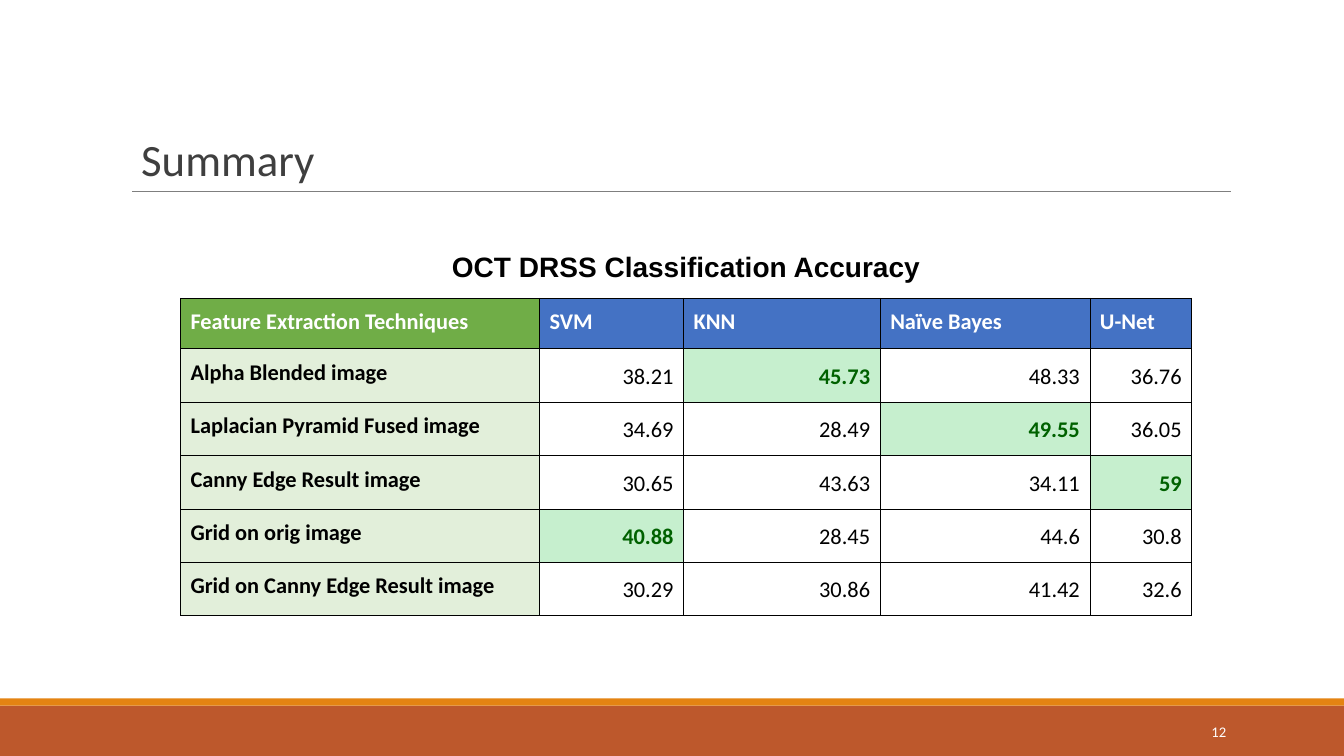
import pptx
import pptx.util
import pptx.dml.color
import pptx.enum.shapes
import pptx.enum.text
import pptx.oxml
import pptx.oxml.ns
import lxml.etree

Inches = pptx.util.Inches
Pt = pptx.util.Pt
RGBColor = pptx.dml.color.RGBColor
Align = pptx.enum.text.PP_ALIGN
Anchor = pptx.enum.text.MSO_ANCHOR

WHITE = RGBColor(0xFF, 0xFF, 0xFF)
BLACK = RGBColor(0, 0, 0)
GRAY = RGBColor(0x7F, 0x7F, 0x7F)
DARK = RGBColor(0x3F, 0x3F, 0x3F)
RUST = RGBColor(0xBD, 0x58, 0x2C)
ORANGE = RGBColor(0xE4, 0x83, 0x12)
GREEN = RGBColor(0x70, 0xAD, 0x47)
BLUE = RGBColor(0x44, 0x72, 0xC4)
PALE = RGBColor(0xE2, 0xEF, 0xDA)
MINT = RGBColor(0xC6, 0xEF, 0xCE)
FOREST = RGBColor(0, 0x61, 0)


def write(para, text, size, color, bold=False, font="Calibri"):
    run = para.add_run()
    run.text = text
    run.font.size = Pt(size)
    run.font.name = font
    run.font.bold = bold
    run.font.color.rgb = color


def border(cell, sides):
    props = cell._tc.get_or_add_tcPr()
    for spot, side in enumerate(("L", "R", "T", "B")):
        paint = "<a:noFill/>"
        if side in sides:
            paint = f'<a:solidFill><a:srgbClr val="{BLACK}"/></a:solidFill>'
        edge = pptx.oxml.parse_xml(
            f'<a:ln{side} {pptx.oxml.ns.nsdecls("a")} w="{Pt(0.6)}">{paint}</a:ln{side}>')
        props.insert(spot, edge)


deck = pptx.Presentation()
deck.slide_width = Inches(13.33)
deck.slide_height = Inches(7.5)
slide = deck.slides.add_slide(deck.slide_layouts[5])
shapes = slide.shapes

for top, height, color in ((7, 0.5, RUST), (6.93, 0.07, ORANGE)):
    band = shapes.add_shape(pptx.enum.shapes.MSO_SHAPE.RECTANGLE,
                            Inches(0), Inches(top), Inches(13.33), Inches(height))
    band.shadow.inherit = False
    band.fill.solid()
    band.fill.fore_color.rgb = color
    band.line.fill.background()

rule = shapes.add_connector(pptx.enum.shapes.MSO_CONNECTOR.STRAIGHT,
                            Inches(1.31), Inches(1.9), Inches(12.21), Inches(1.9))
rule.line.color.rgb = GRAY
rule.line.width = Pt(0.75)
lxml.etree.SubElement(rule._element.spPr, pptx.oxml.ns.qn("a:effectLst"))

title = shapes.title
title.left, title.top = Inches(1.2), Inches(0.31)
title.width, title.height = Inches(11), Inches(1.59)
frame = title.text_frame
frame.word_wrap = True
frame.vertical_anchor = Anchor.BOTTOM
frame.margin_left = Inches(0.2)
para = frame.paragraphs[0]
para.alignment = Align.LEFT
para.line_spacing = 0.9
para.space_before = Pt(14)
write(para, "Summary", 32, DARK)

heads = ("Feature Extraction Techniques", "SVM", "KNN", "Naïve Bayes", "U-Net")
scores = (
    ("Alpha Blended image", 38.21, 45.73, 48.33, 36.76),
    ("Laplacian Pyramid Fused image", 34.69, 28.49, 49.55, 36.05),
    ("Canny Edge Result image", 30.65, 43.63, 34.11, 59),
    ("Grid on orig image", 40.88, 28.45, 44.6, 30.8),
    ("Grid on Canny Edge Result image", 30.29, 30.86, 41.42, 32.6),
)
widths = (3.56, 1.43, 1.95, 2.08, 1.01)
heights = (0.56, 0.5) + (0.53,) * len(scores)
table = shapes.add_table(len(heights), len(widths), Inches(1.79), Inches(2.4),
                         Inches(sum(widths)), Inches(sum(heights))).table
table.first_row = False
table.horz_banding = False
for col, width in zip(table.columns, widths):
    col.width = Inches(width)
for row, height in zip(table.rows, heights):
    row.height = Inches(height)

for cell in table.iter_cells():
    cell.margin_left = cell.margin_right = Inches(0.1)
    cell.margin_top = cell.margin_bottom = Inches(0.1)
    cell.fill.background()

for c in range(len(widths)):
    border(table.cell(0, c), "B")
banner = table.cell(0, 0)
banner.merge(table.cell(0, len(widths) - 1))
para = banner.text_frame.paragraphs[0]
para.alignment = Align.CENTER
write(para, "OCT DRSS Classification Accuracy", 20, BLACK, True, "Arial")

best = [max(col) for col in list(zip(*scores))[1:]]
for r, line in enumerate((heads,) + scores, 1):
    for c, value in enumerate(line):
        cell = table.cell(r, c)
        para = cell.text_frame.paragraphs[0]
        fill, color, bold = None, BLACK, True
        if r == 1:
            fill, color = (BLUE if c else GREEN), WHITE
        elif c == 0:
            fill = PALE
        else:
            para.alignment = Align.RIGHT
            para.line_spacing = 1.15
            bold = value == best[c - 1]
            if bold:
                fill, color = MINT, FOREST
        if fill is not None:
            cell.fill.solid()
            cell.fill.fore_color.rgb = fill
        write(para, str(value), 16, color, bold)
        border(cell, "LRTB")

number = shapes.add_textbox(Inches(10.83), Inches(7.06), Inches(1.43), Inches(0.4))
frame = number.text_frame
frame.word_wrap = True
frame.vertical_anchor = Anchor.MIDDLE
para = frame.paragraphs[0]
para.alignment = Align.RIGHT
write(para, "12", 10.5, WHITE)

deck.save("out.pptx")
